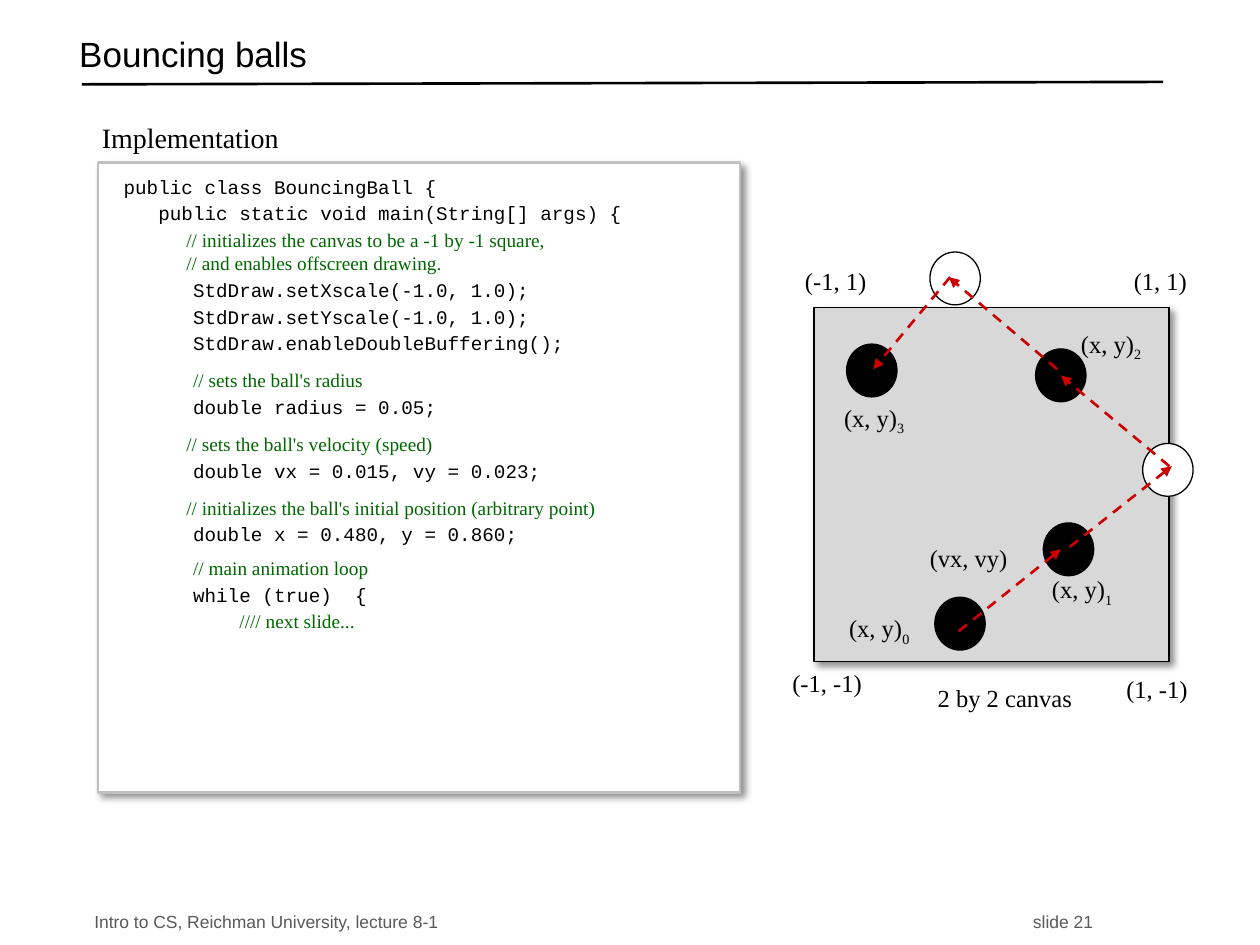
from lxml import etree
from pptx import Presentation
from pptx import util as u
from pptx.dml.color import RGBColor
from pptx.enum import dml, shapes, text
from pptx.oxml import ns

COLORS = {
    "black": "000000", "white": "FFFFFF", "canvas": "D8D8D8", "ball": "010000",
    "arrow": "CC0000", "border": "BFBFBF", "comment": "006600", "footer": "595959",
}
SANS, SERIF, MONO = "Arial", "Times New Roman", "Courier New"
COMMENT_INDENT = " " * 13
CODE_INDENT = " " * 6

CODE = [
    (0, "public class BouncingBall {", ""),
    (2, "   public static void main(String[] args) {", ""),
    (2, "", COMMENT_INDENT + "// initializes the canvas to be a -1 by -1 square,"),
    (0, "", COMMENT_INDENT + "// and enables offscreen drawing."),
    (2, CODE_INDENT + "StdDraw.setXscale(-1.0, 1.0);", ""),
    (2, CODE_INDENT + "StdDraw.setYscale(-1.0, 1.0);", ""),
    (2, CODE_INDENT + "StdDraw.enableDoubleBuffering();", ""),
    (8, CODE_INDENT, "// sets the ball's radius"),
    (2, CODE_INDENT + "double radius = 0.05;", ""),
    (8, "", COMMENT_INDENT + "// sets the ball's velocity (speed)"),
    (2, CODE_INDENT + "double vx = 0.015, vy = 0.023;", ""),
    (8, "", COMMENT_INDENT + "// initializes the ball's initial position (arbitrary point)"),
    (2, CODE_INDENT + "double x = 0.480, y = 0.860;", ""),
    (6, CODE_INDENT, "// main animation loop"),
    (2, CODE_INDENT + "while (true)  {", ""),
    (2, " " * 10, "//// next slide..."),
]
BALLS = [
    (596.2, 298.8, "ball"), (534.2, 341.3, "ball"), (653, 253.4, "white"),
    (591.8, 199.4, "ball"), (531.4, 144, "white"), (483.8, 196.6, "ball"),
]
ARROWS = [
    (547.9, 360.7, 606.2, 313.9), (611.3, 312.5, 669.6, 266.4),
    (668.2, 266.4, 606.2, 214.6), (604.1, 211, 542.2, 158.4),
    (542.9, 158.4, 499, 211),
]
POSITIONS = [(478.1, 347), (594, 324.7), (610.6, 184.3), (475.2, 226.8)]
LABELS = [
    (445.7, 378, 54.7, "(-1, -1)"), (640.8, 148.3, 45.4, "(1, 1)"),
    (636.5, 381.6, 49.7, "(1, -1)"), (452.9, 148.3, 49.7, "(-1, 1)"),
    (524.2, 306.7, 59, "(vx, vy)"),
]


def rgb(name):
    return RGBColor.from_string(COLORS[name])


def points(*values):
    return [u.Pt(value) for value in values]


def add_run(paragraph, words, size, font=SERIF, color="black"):
    run = paragraph.add_run()
    run.text = words
    run.font.size = u.Pt(size)
    run.font.name = font
    run.font.color.rgb = rgb(color)
    return run


def add_text_box(slide, box, words, size, font=SERIF, wrap=True, anchor=text.MSO_ANCHOR.TOP):
    frame = slide.shapes.add_textbox(*points(*box)).text_frame
    frame.word_wrap = wrap
    frame.vertical_anchor = anchor
    add_run(frame.paragraphs[0], words, size, font)
    return frame


def add_label(slide, left, top, width, words, subscript=""):
    frame = add_text_box(slide, (left, top, width, 24.5), words, 14, wrap=False)
    if subscript:
        run = add_run(frame.paragraphs[0], subscript, 14)
        run._r.get_or_add_rPr().set("baseline", "-25000")


def add_shape(slide, kind, box, fill, line=None, width=0.75):
    shape = slide.shapes.add_shape(kind, *points(*box))
    shape.shadow.inherit = False
    shape.fill.solid()
    shape.fill.fore_color.rgb = rgb(fill)
    if line:
        shape.line.color.rgb = rgb(line)
        shape.line.width = u.Pt(width)
    else:
        shape.line.fill.background()
    return shape


def cast_shadow(shape):
    effects = shape._element.spPr.find(ns.qn("a:effectLst"))
    shadow = etree.SubElement(
        effects, ns.qn("a:outerShdw"), blurRad=str(u.Pt(4)), dist=str(u.Pt(3)),
        dir=str(45 * 60000), algn="tl", rotWithShape="0")
    color = etree.SubElement(shadow, ns.qn("a:srgbClr"), val=COLORS["black"])
    etree.SubElement(color, ns.qn("a:alpha"), val="43000")


def add_line(slide, ends, color):
    connector = slide.shapes.add_connector(shapes.MSO_CONNECTOR.STRAIGHT, *points(*ends))
    connector.line.color.rgb = rgb(color)
    connector.line.width = u.Pt(1.5)
    etree.SubElement(connector._element.spPr, ns.qn("a:effectLst"))
    return connector


def add_arrow(slide, ends):
    connector = add_line(slide, ends, "arrow")
    connector.line.dash_style = dml.MSO_LINE.DASH
    etree.SubElement(connector.line._get_or_add_ln(), ns.qn("a:tailEnd"), type="triangle")


def add_footer(slide):
    frame = slide.shapes.add_textbox(*points(46.8, 517.7, 619.2, 18)).text_frame
    frame.word_wrap = True
    frame.vertical_anchor = text.MSO_ANCHOR.MIDDLE
    paragraph = frame.paragraphs[0]
    tabs = etree.SubElement(paragraph._p.get_or_add_pPr(), ns.qn("a:tabLst"))
    etree.SubElement(tabs, ns.qn("a:tab"), pos=str(u.Pt(536.4)), algn="l")
    for words in ("Intro to CS, Reichman University, lecture 8-1", "\tslide 21"):
        add_run(paragraph, words, 10, SANS, "footer")


def add_code_panel(slide):
    panel = add_shape(slide, shapes.MSO_SHAPE.RECTANGLE, (56.2, 92.9, 366.5, 360),
                      "white", "border", 1.25)
    cast_shadow(panel)
    frame = panel.text_frame
    frame.word_wrap = True
    frame.vertical_anchor = text.MSO_ANCHOR.TOP
    frame.margin_left, frame.margin_top = points(14.4, 7.2)
    frame.margin_right = frame.margin_bottom = 0
    for index, (before, code, comment) in enumerate(CODE):
        paragraph = frame.add_paragraph() if index else frame.paragraphs[0]
        paragraph.alignment = text.PP_ALIGN.LEFT
        if before:
            paragraph.space_before = u.Pt(before)
        if code:
            add_run(paragraph, code, 11, MONO)
        if comment:
            add_run(paragraph, comment, 11, SERIF, "comment")


def add_canvas(slide):
    canvas = add_shape(slide, shapes.MSO_SHAPE.RECTANGLE, (465.1, 175.7, 203, 202.3),
                       "canvas", "black")
    cast_shadow(canvas)
    for left, top, fill in BALLS:
        add_shape(slide, shapes.MSO_SHAPE.OVAL, (left, top, 28.8, 30.2), fill, "black")
    for ends in ARROWS:
        add_arrow(slide, ends)
    for index, (left, top) in enumerate(POSITIONS):
        add_label(slide, left, top, 49.7, "(x, y)", str(index))
    for label in LABELS:
        add_label(slide, *label)


def add_caption(slide):
    caption = add_shape(slide, shapes.MSO_SHAPE.ROUNDED_RECTANGULAR_CALLOUT,
                        (513.4, 388.1, 118.8, 20.9), "white")
    for index, value in enumerate((-0.04, 0.33, 0.17)):
        caption.adjustments[index] = value
    frame = caption.text_frame
    frame.word_wrap = True
    frame.vertical_anchor = text.MSO_ANCHOR.MIDDLE
    frame.margin_left, frame.margin_right = points(2.9, 0)
    frame.paragraphs[0].alignment = text.PP_ALIGN.CENTER
    add_run(frame.paragraphs[0], "2 by 2 canvas", 14)


def main():
    presentation = Presentation()
    presentation.slide_width, presentation.slide_height = points(720, 540)
    slide = presentation.slides.add_slide(presentation.slide_layouts[6])
    add_line(slide, (46.8, 48.2, 664.6, 46.8), "black")
    add_footer(slide)
    title = add_text_box(slide, (38.2, 15.8, 619.2, 36), "Bouncing balls", 20, SANS,
                         anchor=text.MSO_ANCHOR.MIDDLE)
    title.paragraphs[0].line_spacing = 0.7
    heading = add_text_box(slide, (42.5, 65.5, 360, 26.6), "Implementation", 16)
    heading.margin_left = u.Pt(15.8)
    add_canvas(slide)
    add_code_panel(slide)
    add_caption(slide)
    presentation.save("out.pptx")


if __name__ == "__main__":
    main()
